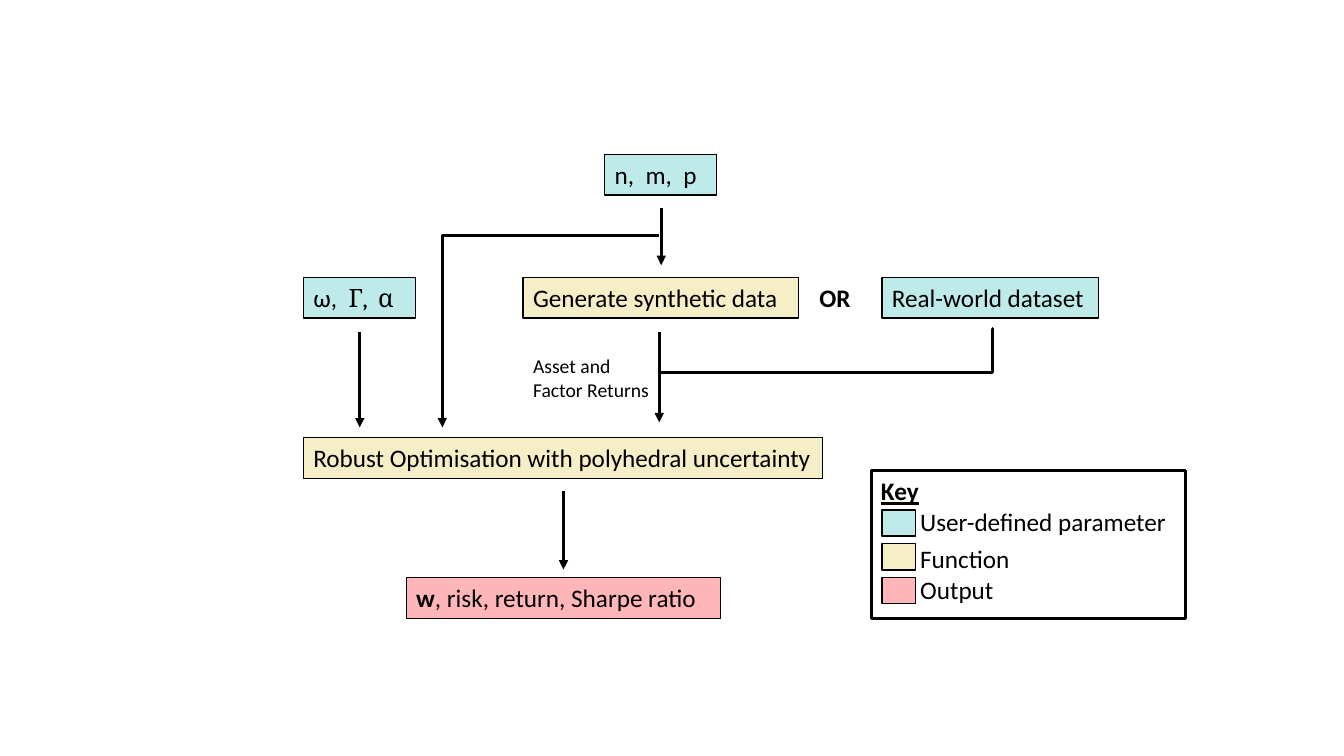
from lxml.etree import SubElement
from pptx import Presentation
from pptx.dml.color import RGBColor
from pptx.enum.shapes import MSO_CONNECTOR, MSO_SHAPE
from pptx.enum.text import MSO_ANCHOR, PP_ALIGN
from pptx.oxml.ns import qn
from pptx.util import Pt

BLACK = RGBColor(0x00, 0x00, 0x00)
WHITE = RGBColor(0xFF, 0xFF, 0xFF)
PARAMETER = RGBColor(0xBE, 0xEB, 0xE9)
FUNCTION = RGBColor(0xF6, 0xEE, 0xC7)
OUTPUT = RGBColor(0xFF, 0xB6, 0xB9)

BOX_H, THIN, THICK = 29.1, 1, 2.25
TOP_Y, DATA_Y, MODEL_Y, RESULT_Y = 110.2, 198, 312.5, 412.6
BOLD = {"bold": True}

# left, top, width, fill, runs as (text, format)
BOXES = [
    (216.7, DATA_Y, 80, PARAMETER, [("ω,  ", {}), ("Γ,  α", {"name": "Cambria"})]),
    (373.7, DATA_Y, 196.6, FUNCTION, [("Generate synthetic data", {})]),
    (630, DATA_Y, 154.8, PARAMETER, [("Real-world dataset", {})]),
    (432, TOP_Y, 80, PARAMETER, [("n,  m,  p", {})]),
    (216.7, MODEL_Y, 371, FUNCTION,
     [("Robust Optimisation with polyhedral uncertainty", {})]),
    (290.2, RESULT_Y, 224.6, OUTPUT,
     [("w", BOLD), (", risk, return, Sharpe ratio", {})]),
]
# left, top, width, height, runs
LABELS = [
    (578.2, DATA_Y, 43.9, BOX_H, [("OR", BOLD)]),
    (373.7, 249.3, 100, 41.2, [("Asset and Factor Returns", {"size": Pt(14)})]),
]
# x, top, bottom
ARROWS = [(472.3, 148.3, 189.4), (257, 236.9, 305.3),
          (470.9, 236.9, 301.7), (402.5, 350.6, 406.8)]
# start, end, bend position in 1/100000 of the width, arrowhead
ELBOWS = [((708.5, 234.7), (470.9, 266.4), -100, False),
          ((470.9, 168.5), (316.1, 305.3), 100100, True)]

KEY_BOX = (622.2, 336.2, 224.6, 105.4)
KEY_INDENT = 28
# text, space before, fill
KEY = [("User-defined parameter", 0, PARAMETER),
       ("Function", 5, FUNCTION), ("Output", 1, OUTPUT)]
SWATCH_X, SWATCH_Y, SWATCH_W, SWATCH_H, SWATCH_STEP = 630, 364.3, 24, 18.7, 24.1


def add_runs(p, runs):
    """Write formatted runs into a paragraph."""
    p.alignment = PP_ALIGN.LEFT
    for text, fmt in runs:
        r = p.add_run()
        r.text = text
        r.font.color.rgb = BLACK
        for name, value in {"name": "Calibri", "size": Pt(18), **fmt}.items():
            setattr(r.font, name, value)


def set_frame(sp):
    """Make a shape's text wrap and start at the top; return its frame."""
    tf = sp.text_frame
    tf.word_wrap, tf.vertical_anchor = True, MSO_ANCHOR.TOP
    return tf


def add_box(s, x, y, w, h, fill, line=THIN):
    """Add an outlined rectangle."""
    sp = s.shapes.add_shape(MSO_SHAPE.RECTANGLE, Pt(x), Pt(y), Pt(w), Pt(h))
    sp.shadow.inherit = False
    sp.fill.solid()
    sp.fill.fore_color.rgb = fill
    sp.line.color.rgb, sp.line.width = BLACK, Pt(line)
    return sp


def add_line(s, start, end, kind=MSO_CONNECTOR.STRAIGHT, bend=None, head=True):
    """Add a connector, with an optional bend and arrowhead."""
    c = s.shapes.add_connector(kind, *(Pt(v) for v in start + end))
    c.line.color.rgb, c.line.width = BLACK, Pt(THICK)
    sp_pr = c._element.spPr
    if head:
        SubElement(c.line._get_or_add_ln(), qn("a:tailEnd"), type="triangle")
    if bend is not None:
        geom = sp_pr.find(qn("a:prstGeom"))
        guides = geom.find(qn("a:avLst"))
        if guides is None:
            guides = SubElement(geom, qn("a:avLst"))
        SubElement(guides, qn("a:gd"), name="adj1", fmla=f"val {bend}")
    SubElement(sp_pr, qn("a:effectLst"))


def add_key(s):
    """Add the key frame, its entries and colour swatches."""
    tf = set_frame(add_box(s, *KEY_BOX, WHITE, THICK))
    add_runs(tf.paragraphs[0], [("Key", {"bold": True, "underline": True})])
    for i, (text, gap, fill) in enumerate(KEY):
        p = tf.add_paragraph()
        p.space_before = Pt(gap)
        p._p.get_or_add_pPr().set("marL", str(Pt(KEY_INDENT)))
        add_runs(p, [(text, {})])
        add_box(s, SWATCH_X, SWATCH_Y + i * SWATCH_STEP, SWATCH_W, SWATCH_H, fill)


prs = Presentation()
prs.slide_width, prs.slide_height = Pt(960), Pt(540)
s = prs.slides.add_slide(prs.slide_layouts[6])

for x, y, w, fill, runs in BOXES:
    add_runs(set_frame(add_box(s, x, y, w, BOX_H, fill)).paragraphs[0], runs)
for x, y, w, h, runs in LABELS:
    label = s.shapes.add_textbox(Pt(x), Pt(y), Pt(w), Pt(h))
    add_runs(set_frame(label).paragraphs[0], runs)
for x, top, bottom in ARROWS:
    add_line(s, (x, top), (x, bottom))
for start, end, bend, head in ELBOWS:
    add_line(s, start, end, MSO_CONNECTOR.ELBOW, bend, head)
add_key(s)

prs.save("out.pptx")
